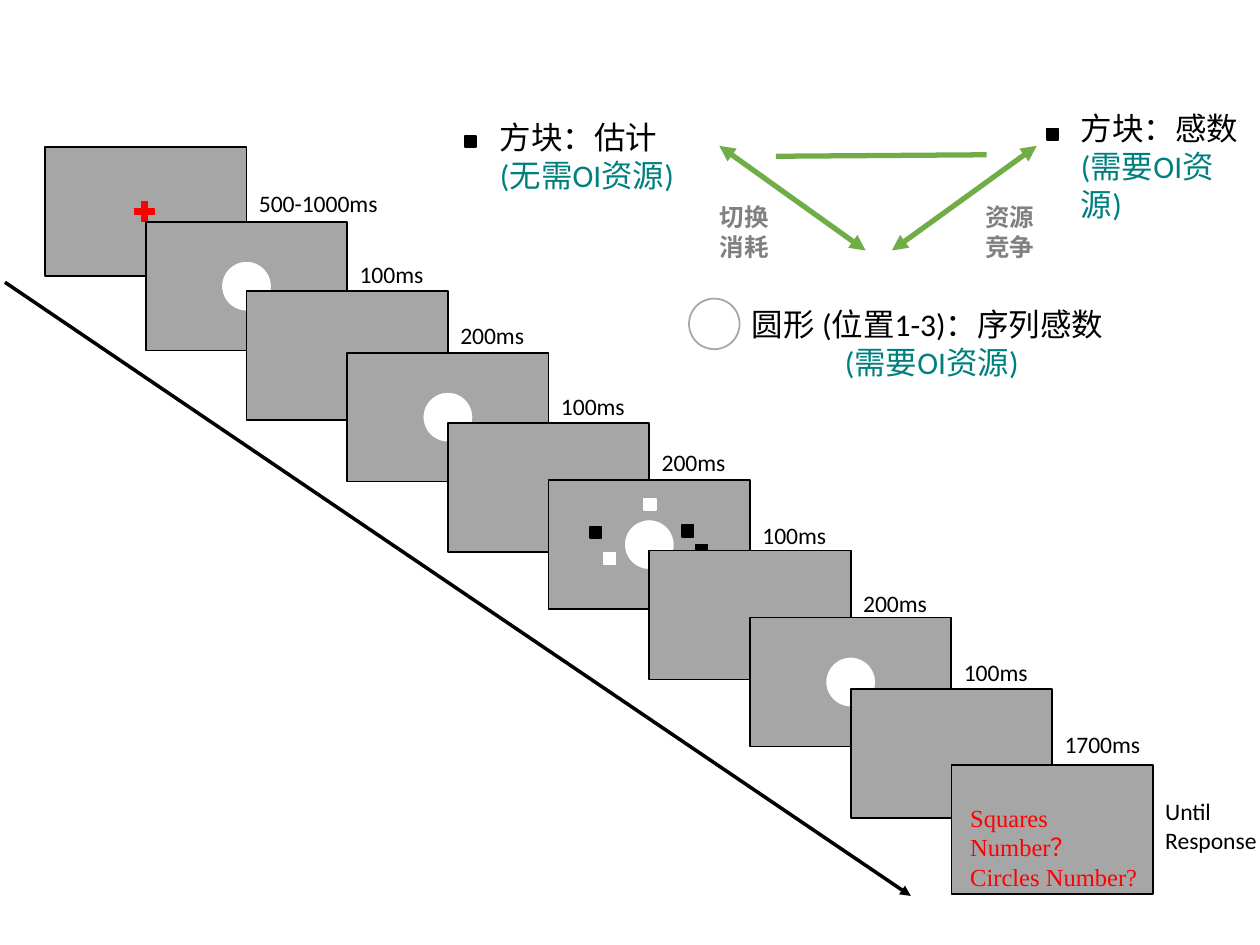
from dataclasses import dataclass

from lxml.etree import SubElement
from pptx import Presentation
from pptx.dml.color import RGBColor
from pptx.enum.shapes import MSO_CONNECTOR, MSO_SHAPE
from pptx.enum.text import MSO_AUTO_SIZE, PP_ALIGN
from pptx.oxml.ns import qn
from pptx.util import Cm, Pt


@dataclass(frozen=True)
class Theme:
    gray: str = "A6A6A6"
    black: str = "000000"
    white: str = "FFFFFF"
    red: str = "FF0000"
    green: str = "70AD47"
    teal: str = "007F7F"
    caption: str = "808080"
    sans: str = "Calibri"
    serif: str = "Times New Roman"
    duration_size: float = 13.5
    prompt_size: float = 14
    legend_size: float = 18


@dataclass(frozen=True)
class Box:
    left: float
    top: float
    width: float
    height: float

    def inner(self, left, top, width, height):
        return Box(self.left + left, self.top + top, width, height)

    def lengths(self):
        return [Cm(value) for value in (self.left, self.top, self.width, self.height)]


THEME = Theme()
FRAME_WIDTH, FRAME_HEIGHT, FRAME_STEP = 4.06, 2.6, 2.03
CIRCLE_SIZE, SQUARE_SIZE, PLUS_SIZE = 1.02, 0.23, 0.51

# Each frame: top, content, label, label offset from the frame top
FRAMES = [
    (2.97, "plus", "500-1000ms", 0.71),
    (4.47, "circle", "100ms", 0.64),
    (5.87, "empty", "200ms", 0.48),
    (7.11, "circle", "100ms", 0.66),
    (8.53, "empty", "200ms", 0.38),
    (9.68, "squares", "100ms", 0.69),
    (11.1, "empty", "200ms", 0.64),
    (12.45, "circle", "100ms", 0.69),
    (13.89, "empty", "1700ms", 0.69),
    (15.42, "prompt", "Until Response", 0.53),
]
SQUARES = [
    (0.84, 0.94, THEME.black),
    (1.12, 1.47, THEME.white),
    (1.93, 0.38, THEME.white),
    (2.69, 0.91, THEME.black),
    (2.97, 1.3, THEME.black),
]


def add_figure(page, kind, box, fill, line):
    figure = page.shapes.add_shape(kind, *box.lengths())
    figure.shadow.inherit = False
    figure.fill.solid()
    figure.fill.fore_color.rgb = RGBColor.from_string(fill)
    figure.line.color.rgb = RGBColor.from_string(line)
    figure.line.width = Pt(1)


def add_circle(page, box, left, top):
    circle_box = box.inner(left, top, CIRCLE_SIZE, CIRCLE_SIZE)
    add_figure(page, MSO_SHAPE.OVAL, circle_box, THEME.white, THEME.gray)


def add_square(page, box, left, top, color):
    square_box = box.inner(left, top, SQUARE_SIZE, SQUARE_SIZE)
    add_figure(page, MSO_SHAPE.RECTANGLE, square_box, color, color)


def add_text(page, box, text, *, size, font=THEME.sans, colors=(THEME.black,),
             aligns=(PP_ALIGN.LEFT,), bold=False, wrap=True):
    frame = page.shapes.add_textbox(*box.lengths()).text_frame
    frame.word_wrap = wrap
    frame.auto_size = MSO_AUTO_SIZE.SHAPE_TO_FIT_TEXT
    frame.text = text
    for index, para in enumerate(frame.paragraphs):
        para.alignment = aligns[index % len(aligns)]
        for span in para.runs:
            span.font.size = Pt(size)
            span.font.name = font
            span.font.bold = bold
            span.font.color.rgb = RGBColor.from_string(colors[index % len(colors)])


def add_line(page, box, start, end, color, width, heads=()):
    points = [Cm(value) for value in (box.left + start[0], box.top + start[1],
                                      box.left + end[0], box.top + end[1])]
    connector = page.shapes.add_connector(MSO_CONNECTOR.STRAIGHT, *points)
    connector.line.color.rgb = RGBColor.from_string(color)
    connector.line.width = Pt(width)
    outline = connector.line._get_or_add_ln()
    for head in heads:
        SubElement(outline, qn(f"a:{head}"), type="triangle")
    SubElement(connector._element.spPr, qn("a:effectLst"))


def draw_frame(page, box, content, label, label_offset):
    add_figure(page, MSO_SHAPE.RECTANGLE, box, THEME.gray, THEME.black)
    if content == "plus":
        plus_box = box.inner(1.75, 1.04, PLUS_SIZE, PLUS_SIZE)
        add_figure(page, MSO_SHAPE.MATH_PLUS, plus_box, THEME.red, THEME.red)
    elif content in ("circle", "squares"):
        add_circle(page, box, 1.52, 0.79)
    elif content == "prompt":
        add_text(page, box.inner(0.13, 0.64, 3.94, 2.06),
                 "Squares Number？\nCircles Number?",
                 size=THEME.prompt_size, font=THEME.serif, colors=(THEME.red,))
    if content == "squares":
        for left, top, color in SQUARES:
            add_square(page, box, left, top, color)
    label_box = box.inner(FRAME_WIDTH, label_offset, 2.64 if content == "prompt" else 3.05, 0.84)
    add_text(page, label_box, label, size=THEME.duration_size)


def draw_trial(page, box):
    for index, (top, content, label, label_offset) in enumerate(FRAMES):
        frame_box = box.inner(0.91 + index * FRAME_STEP, top, FRAME_WIDTH, FRAME_HEIGHT)
        draw_frame(page, frame_box, content, label, label_offset)
    add_line(page, box, (0.1, 5.69), (18.36, 18.06), THEME.black, 2, ("tailEnd",))


def draw_legend(page, box):
    both = ("headEnd", "tailEnd")
    add_line(page, box, (5.13, 0.86), (8.08, 2.97), THEME.green, 3, both)
    add_line(page, box, (6.27, 1.07), (10.52, 1.04), THEME.green, 3)
    add_line(page, box, (11.53, 0.86), (8.61, 2.97), THEME.green, 3, both)

    for left, caption in ((10.24, "资源\n竞争"), (4.88, "切换\n消耗")):
        add_text(page, box.inner(left, 1.87, 1.5, 1.45), caption,
                 size=THEME.prompt_size, font=THEME.serif, colors=(THEME.caption,),
                 aligns=(PP_ALIGN.CENTER,), bold=True, wrap=False)

    add_circle(page, box, 4.52, 3.94)
    for left, top, width, text, second_align in (
        (5.54, 3.94, 7.75, "圆形 (位置1-3)：序列感数\n(需要OI资源)", PP_ALIGN.CENTER),
        (12.17, 0, 3.96, "方块：感数\n(需要OI资源)", PP_ALIGN.LEFT),
        (0.46, 0.18, 4.7, "方块：估计\n(无需OI资源)", PP_ALIGN.LEFT),
    ):
        add_text(page, box.inner(left, top, width, 1.8), text, size=THEME.legend_size,
                 colors=(THEME.black, THEME.teal), aligns=(PP_ALIGN.LEFT, second_align))
    for left, top in ((11.73, 0.51), (0, 0.66)):
        add_square(page, box, left, top, THEME.black)


def main():
    deck = Presentation()
    deck.slide_width, deck.slide_height = Cm(25.4), Cm(19.05)
    page = deck.slides.add_slide(deck.slide_layouts[6])
    draw_trial(page, Box(0, 0, 25.4, 19.05))
    draw_legend(page, Box(9.37, 2.08, 16.03, 6.4))
    deck.save("out.pptx")


if __name__ == "__main__":
    main()
